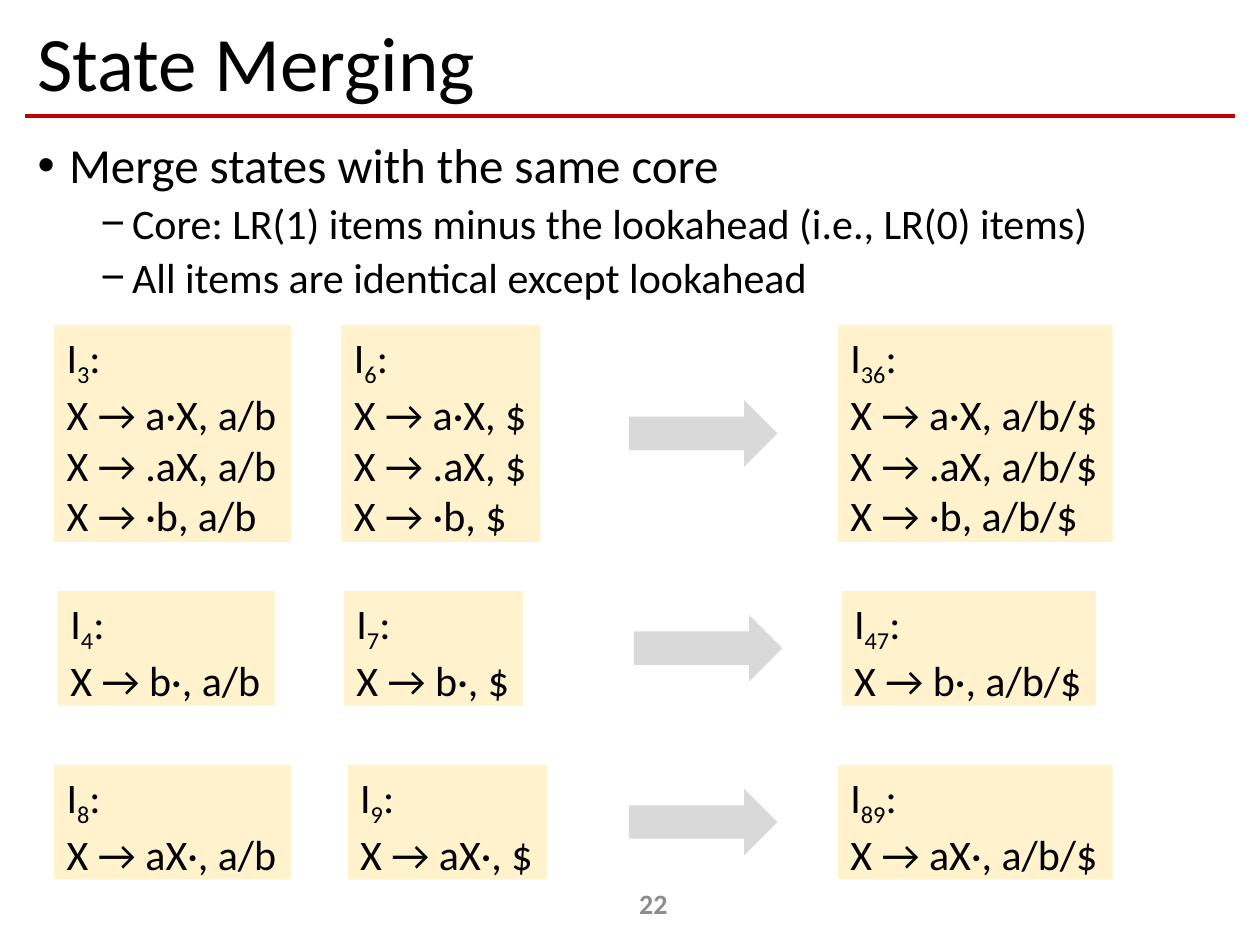
from lxml import etree
from pptx import Presentation
from pptx.dml.color import RGBColor
from pptx.enum.shapes import MSO_CONNECTOR, MSO_SHAPE
from pptx.enum.text import MSO_ANCHOR, MSO_AUTO_SIZE, PP_ALIGN
from pptx.oxml.ns import qn
from pptx.util import Inches, Pt

RECTANGLE, ARROW = MSO_SHAPE.RECTANGLE, MSO_SHAPE.RIGHT_ARROW
TOP, MIDDLE = MSO_ANCHOR.TOP, MSO_ANCHOR.MIDDLE
LEFT, CENTER = PP_ALIGN.LEFT, PP_ALIGN.CENTER
SUBSCRIPT = "-25000"

presentation = Presentation()
presentation.slide_width, presentation.slide_height = Inches(10), Inches(7.5)
slide = presentation.slides.add_slide(presentation.slide_layouts[6])
COLUMN = presentation.slide_width / 100
ROW = presentation.slide_height / 75


def grid(left, top, width, height):
    return [round(left * COLUMN), round(top * ROW), round(width * COLUMN), round(height * ROW)]


def write(frame, text, size=24, color="000000", bold=False, align=LEFT, anchor=TOP,
          spacing=None, before=0, bullet=None, indent=0, subscript=None):
    """Fill the frame's empty first paragraph, or add one; subscript goes before a colon."""
    frame.vertical_anchor = anchor
    paragraph = frame.paragraphs[0]
    if paragraph.runs:
        paragraph = frame.add_paragraph()
        paragraph.space_before = Pt(before)
    paragraph.alignment = align
    paragraph.line_spacing = spacing
    if bullet:
        properties = paragraph._p.get_or_add_pPr()
        properties.set("marL", str(Inches(indent)))
        properties.set("indent", str(Inches(-0.25)))
        etree.SubElement(properties, qn("a:buFont")).set("typeface", "Arial")
        etree.SubElement(properties, qn("a:buChar")).set("char", bullet)
    for part in [text, subscript, ":"] if subscript else [text]:
        run = paragraph.add_run()
        run.text = part
        run.font.name, run.font.size, run.font.bold = "Calibri", Pt(size), bold
        run.font.color.rgb = RGBColor.from_string(color)
        if part == subscript:
            run._r.get_or_add_rPr().set("baseline", SUBSCRIPT)


# Title, rule, bullets and slide number
left, top, width, height = grid(2, 9.2, 96, 0)
rule = slide.shapes.add_connector(MSO_CONNECTOR.STRAIGHT, left, top, left + width, top)
rule.line.color.rgb = RGBColor.from_string("C00000")
rule.line.width = Pt(2.5)
etree.SubElement(rule._element.spPr, qn("a:effectLst"))

title, body, number = [
    slide.shapes.add_textbox(*grid(*place)).text_frame
    for place in [(2, 1.3, 96.1, 7.9), (2, 10.7, 96.1, 56.8), (40.6, 69.7, 22.5, 4)]
]
for frame in (title, body, number):
    frame.word_wrap = True
write(title, "State Merging", size=44, anchor=MIDDLE, spacing=0.9)
write(body, "Merge states with the same core", size=28, spacing=0.9, bullet="•", indent=0.25)
for text in ["Core: LR(1) items minus the lookahead (i.e., LR(0) items)",
             "All items are identical except lookahead"]:
    write(body, text, spacing=0.9, before=5, bullet="−", indent=0.75)
write(number, "22", size=16, color="8C8C8C", bold=True, align=CENTER, anchor=MIDDLE)

# Each merge: two states with the same core, an arrow and the merged state
LOOKAHEADS = [("a/b", 18.8), ("$", 15.8), ("a/b/$", 21.8)]
MERGES = [  # top, height, narrowing, lefts, arrow left, states, cores
    (25.8, 17.2, 0, (4.3, 27.1, 66.5), 49.9, ("3", "6", "36"), ("a·X", ".aX", "·b")),
    (46.9, 9.1, 1.6, (4.6, 27.3, 66.8), 50.3, ("4", "7", "47"), ("b·",)),
    (60.7, 9.1, 0, (4.3, 27.6, 66.5), 49.9, ("8", "9", "89"), ("aX·",)),
]
ARROW_WIDTH, ARROW_HEIGHT = 11.8, 5.3

for top, height, narrowing, lefts, arrow_left, states, cores in MERGES:
    for left, state, (lookahead, width) in zip(lefts, states, LOOKAHEADS):
        box = slide.shapes.add_shape(RECTANGLE, *grid(left, top, width - narrowing, height))
        box.shadow.inherit = False
        box.fill.solid()
        box.fill.fore_color.rgb = RGBColor.from_string("FFF2CC")
        box.line.fill.background()
        box.text_frame.word_wrap = False
        box.text_frame.auto_size = MSO_AUTO_SIZE.SHAPE_TO_FIT_TEXT
        write(box.text_frame, "I", subscript=state)
        for core in cores:
            write(box.text_frame, f"X → {core}, {lookahead}")
    arrow_top = top + (height - ARROW_HEIGHT) / 2
    arrow = slide.shapes.add_shape(ARROW, *grid(arrow_left, arrow_top, ARROW_WIDTH, ARROW_HEIGHT))
    arrow.shadow.inherit = False
    arrow.fill.solid()
    arrow.fill.fore_color.rgb = RGBColor.from_string("D9D9D9")
    arrow.line.fill.background()

presentation.save("out.pptx")
